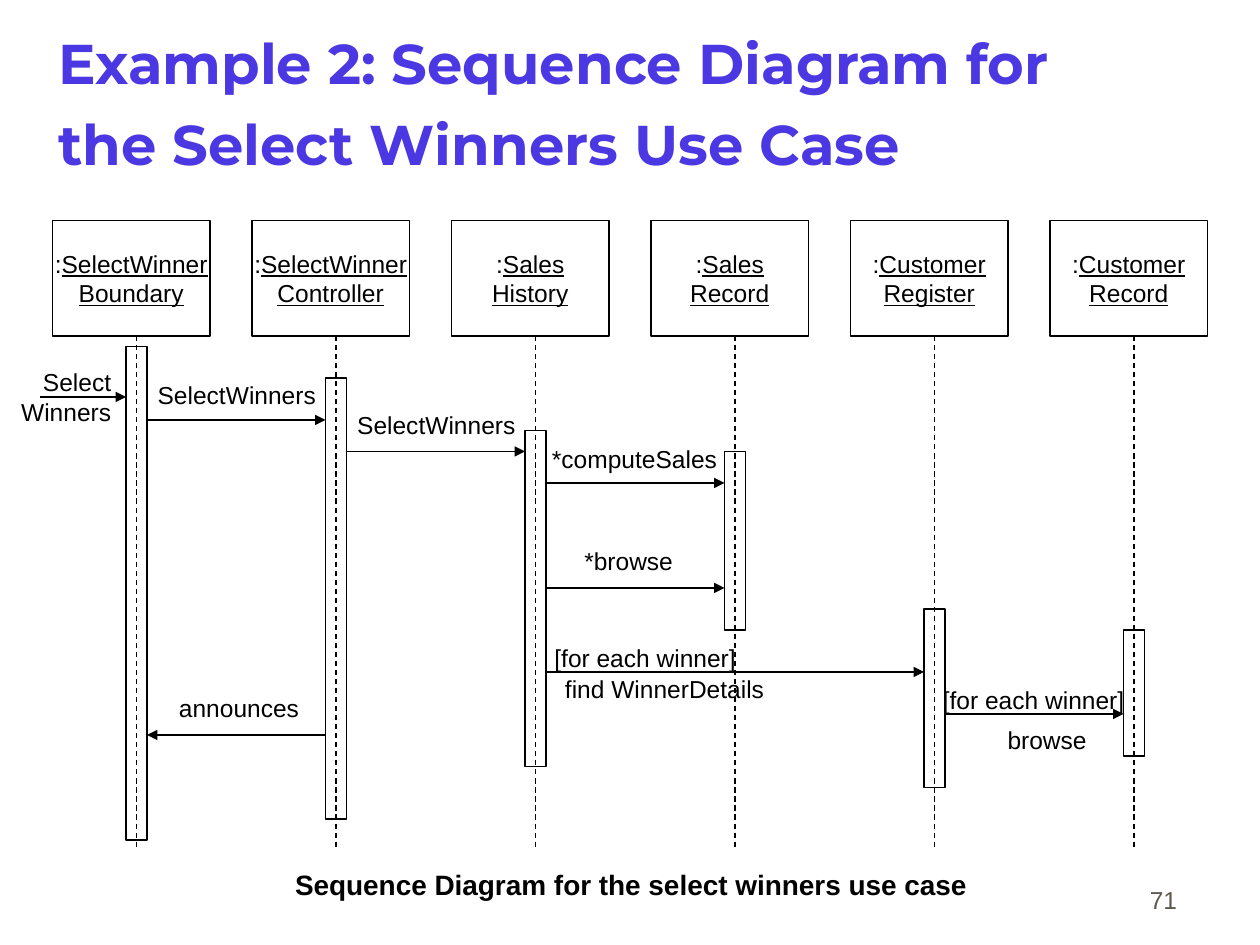
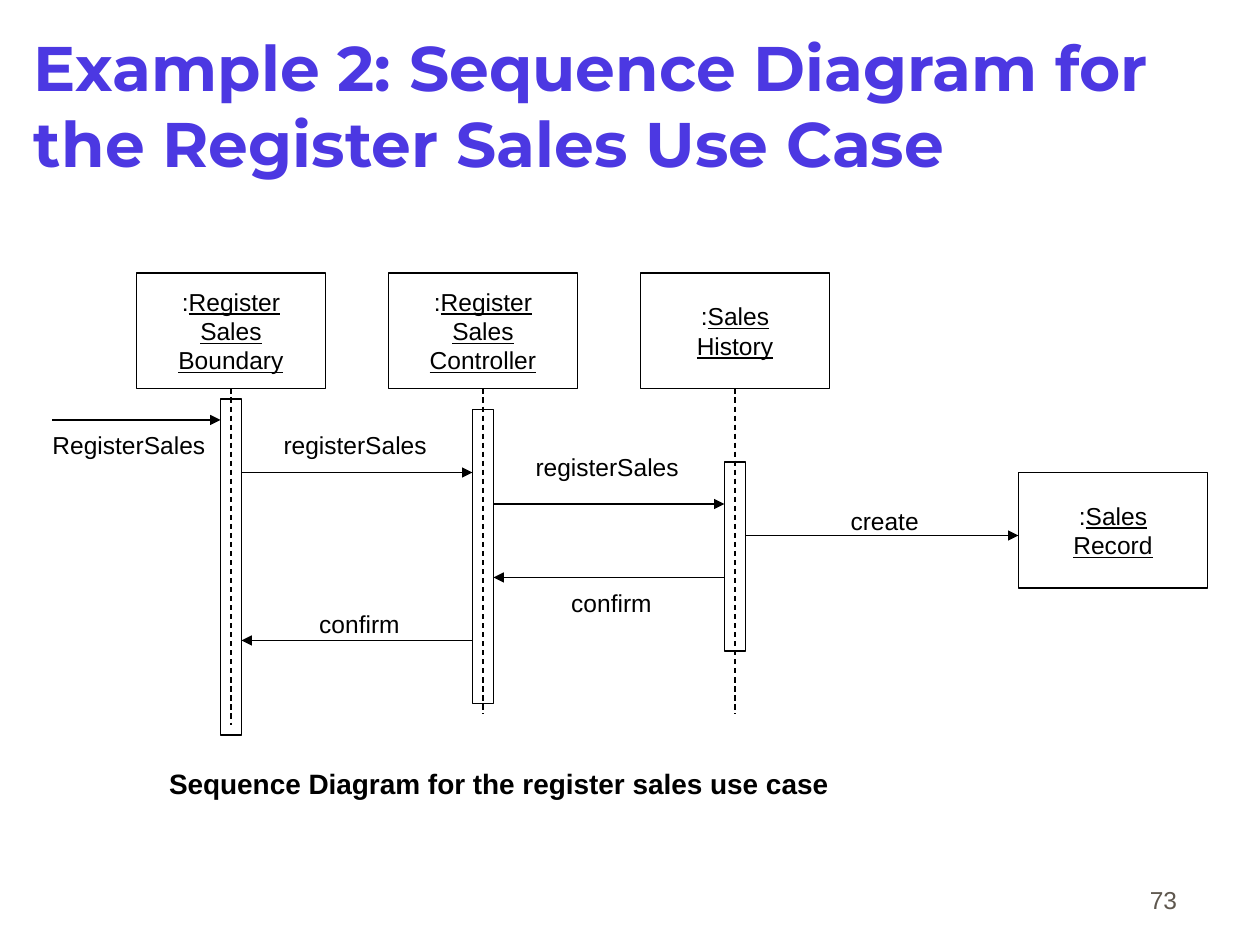
from dataclasses import dataclass
from math import ceil
from typing import Optional

from lxml.etree import SubElement
from pptx import Presentation
from pptx.dml.color import RGBColor
from pptx.enum.dml import MSO_LINE
from pptx.enum.shapes import MSO_CONNECTOR, MSO_SHAPE
from pptx.enum.text import MSO_ANCHOR, MSO_AUTO_SIZE, PP_ALIGN
from pptx.oxml.ns import qn
from pptx.util import Emu, Inches, Pt

SLIDE_WIDTH, SLIDE_HEIGHT = Inches(10), Inches(7.5)
GRID_COLUMNS = 120  # square cells, so the slide is 90 rows high
HEAD_ROWS = 11
BAR_COLUMNS = 2


@dataclass(frozen=True)
class Theme:
    title_font: str = "Montserrat"
    body_font: str = "Arial"
    title: RGBColor = RGBColor(0x4C, 0x38, 0xE2)
    ink: RGBColor = RGBColor(0, 0, 0)
    number: RGBColor = RGBColor(0x5E, 0x57, 0x4E)
    body_size: float = 14
    caption_size: float = 16
    line_width: float = 0.75


THEME = Theme()


@dataclass(frozen=True)
class Area:
    """A rectangle measured in grid cells."""
    column: float
    row: float
    columns: float
    rows: float


@dataclass(frozen=True)
class Title:
    text: str
    area: Area
    size: float
    line_spacing: float


@dataclass(frozen=True)
class Lifeline:
    name: str
    bar_row: Optional[int] = None
    bar_rows: int = 0
    end_row: int = 0
    head_row: Optional[int] = None


@dataclass(frozen=True)
class Message:
    """A call between lifelines; without a source it enters from outside."""
    source: Optional[int]
    target: int
    row: float


@dataclass(frozen=True)
class Label:
    text: str
    column: float
    row: float
    columns: float


@dataclass(frozen=True)
class Diagram:
    number: int
    title: Title
    caption: Label
    head_row: int
    head_columns: int
    axes: list[int]
    entry_column: float
    label_align: PP_ALIGN
    lifelines: list[Lifeline]
    messages: list[Message]
    labels: list[Label]

    def head_area(self, index: int) -> Area:
        row = self.lifelines[index].head_row or self.head_row
        column = self.axes[index] - ceil(self.head_columns / 2)
        return Area(column, row, self.head_columns, HEAD_ROWS)

    def edge(self, index: int, side: int) -> float:
        """Column where an arrow meets a bar, or the head if there is no bar."""
        if self.lifelines[index].bar_row is None:
            return self.head_area(index).column
        return self.axes[index] + side * BAR_COLUMNS / 2


def cells(count: float) -> Emu:
    return Emu(round(count * SLIDE_WIDTH / GRID_COLUMNS))


def bounds(area: Area) -> list[Emu]:
    return [cells(n) for n in (area.column, area.row, area.columns, area.rows)]


def style_span(span, size: float, color: RGBColor, font: str = THEME.body_font,
               bold: bool = False) -> None:
    span.font.name, span.font.size, span.font.bold = font, Pt(size), bold
    span.font.color.rgb = color


def add_text(page, area: Area, text: str, size: float, color: RGBColor = THEME.ink,
             font: str = THEME.body_font, bold: bool = False,
             align: PP_ALIGN = PP_ALIGN.LEFT, anchor: MSO_ANCHOR = MSO_ANCHOR.TOP,
             wrap: bool = False, inset_x: float = 0, inset_y: float = 0):
    """Text box that either wraps in its area or grows with its lines."""
    frame = page.shapes.add_textbox(*bounds(area)).text_frame
    frame.word_wrap, frame.vertical_anchor = wrap, anchor
    frame.auto_size = MSO_AUTO_SIZE.NONE if wrap else MSO_AUTO_SIZE.SHAPE_TO_FIT_TEXT
    frame.margin_left = frame.margin_right = Inches(inset_x)
    frame.margin_top = frame.margin_bottom = Inches(inset_y)
    frame.text = text
    for para in frame.paragraphs:
        para.alignment = align
        for span in para.runs:
            style_span(span, size, color, font, bold)
    return frame


def add_outline(page, area: Area):
    box = page.shapes.add_shape(MSO_SHAPE.RECTANGLE, *bounds(area))
    box.shadow.inherit = False
    box.fill.background()
    box.line.color.rgb, box.line.width = THEME.ink, Pt(THEME.line_width)
    return box


def add_head(page, area: Area, name: str) -> None:
    """Box with the underlined object name after a plain colon."""
    frame = add_outline(page, area).text_frame
    frame.word_wrap, frame.vertical_anchor = False, MSO_ANCHOR.MIDDLE
    frame.text = name
    first = frame.paragraphs[0]
    first.text = ":"
    first.add_run().text = name.splitlines()[0]
    for para in frame.paragraphs:
        para.alignment = PP_ALIGN.CENTER
        for span in para.runs:
            style_span(span, THEME.body_size, THEME.ink)
            span.font.underline = span.text != ":"


def add_line(page, start: tuple[float, float], end: tuple[float, float],
             dashed: bool = False, arrow: bool = False) -> None:
    line = page.shapes.add_connector(
        MSO_CONNECTOR.STRAIGHT, *(cells(n) for n in start + end))
    line.line.color.rgb, line.line.width = THEME.ink, Pt(THEME.line_width)
    if dashed:
        line.line.dash_style = MSO_LINE.DASH
    if arrow:
        SubElement(line.line._get_or_add_ln(), qn("a:tailEnd"), type="triangle")
    SubElement(line._element.spPr, qn("a:effectLst"))


def add_lifeline(page, diagram: Diagram, index: int) -> None:
    lifeline, axis = diagram.lifelines[index], diagram.axes[index]
    head = diagram.head_area(index)
    add_head(page, head, lifeline.name)
    if lifeline.bar_row is not None:
        add_outline(page, Area(axis - BAR_COLUMNS / 2, lifeline.bar_row,
                               BAR_COLUMNS, lifeline.bar_rows))
        add_line(page, (axis, head.row + head.rows), (axis, lifeline.end_row), dashed=True)


def add_message(page, diagram: Diagram, message: Message) -> None:
    source, target = message.source, message.target
    if source is None:
        start, side = diagram.entry_column, 1
    else:
        side = 1 if target > source else -1
        start = diagram.edge(source, side)
    add_line(page, (start, message.row), (diagram.edge(target, -side), message.row),
             arrow=True)


def add_diagram_page(deck, diagram: Diagram) -> None:
    page = deck.slides.add_slide(deck.slide_layouts[6])
    add_text(page, Area(88.3, 81.7, 25, 6), str(diagram.number), THEME.body_size,
             THEME.number, align=PP_ALIGN.RIGHT, anchor=MSO_ANCHOR.BOTTOM,
             wrap=True, inset_x=0.1, inset_y=0.05)
    title = diagram.title
    frame = add_text(page, title.area, title.text, title.size, THEME.title,
                     THEME.title_font, bold=True, anchor=MSO_ANCHOR.MIDDLE,
                     wrap=True, inset_x=0.02, inset_y=0.05)
    frame.paragraphs[0].line_spacing = title.line_spacing
    for index in range(len(diagram.lifelines)):
        add_lifeline(page, diagram, index)
    for message in diagram.messages:
        add_message(page, diagram, message)
    for label in diagram.labels:
        rows = 2.8 * len(label.text.splitlines())
        add_text(page, Area(label.column, label.row, label.columns, rows),
                 label.text, THEME.body_size, align=diagram.label_align)
    caption = diagram.caption
    add_text(page, Area(caption.column, caption.row, caption.columns, 3.2),
             caption.text, THEME.caption_size, bold=True)


SELECT_WINNERS = Diagram(
    number=71,
    title=Title("Example 2: Sequence Diagram for the Select Winners Use Case",
                Area(5.3, 1.6, 102, 15), 32, 1.2),
    caption=Label("Sequence Diagram for the select winners use case", 28.1, 82.6, 64.1),
    head_row=21,
    head_columns=15,
    axes=[13 + 19 * i for i in range(6)],
    entry_column=3.8,
    label_align=PP_ALIGN.RIGHT,
    lifelines=[
        Lifeline("SelectWinner\nBoundary", 33, 47, 81),
        Lifeline("SelectWinner\nController", 36, 42, 81),
        Lifeline("Sales\nHistory", 41, 32, 81),
        Lifeline("Sales\nRecord", 43, 17, 81),
        Lifeline("Customer\nRegister", 58, 17, 81),
        Lifeline("Customer\nRecord", 60, 12, 81),
    ],
    messages=[
        Message(None, 0, 37.8), Message(0, 1, 40), Message(1, 2, 43),
        Message(2, 3, 46), Message(2, 3, 56), Message(2, 4, 64),
        Message(4, 5, 68), Message(1, 0, 70),
    ],
    labels=[
        Label("Select\nWinners", 1.9, 35, 8.7),
        Label("SelectWinners", 14.9, 36.2, 15.2),
        Label("SelectWinners", 33.9, 39, 15.2),
        Label("*computeSales", 52.3, 42.3, 16),
        Label("*browse", 55.5, 52, 8.6),
        Label("[for each winner]", 52.5, 61.2, 17.6),
        Label("find WinnerDetails", 53.6, 64.2, 19.2),
        Label("[for each winner]", 89.5, 65.2, 17.6),
        Label("browse", 95.7, 69, 7.8),
        Label("announces", 16.9, 66, 11.6),
    ],
)

REGISTER_SALES = Diagram(
    number=73,
    title=Title("Example 2: Sequence Diagram for the Register Sales Use Case",
                Area(3, 2.2, 114, 15.5), 36, 1),
    caption=Label("Sequence Diagram for the register sales use case", 16.1, 73, 62.9),
    head_row=26,
    head_columns=18,
    axes=[22, 46, 70, 106],
    entry_column=5,
    label_align=PP_ALIGN.LEFT,
    lifelines=[
        Lifeline("Register\nSales\nBoundary", 38, 32, 69),
        Lifeline("Register\nSales\nController", 39, 28, 68),
        Lifeline("Sales\nHistory", 44, 18, 68),
        Lifeline("Sales\nRecord", head_row=45),
    ],
    messages=[
        Message(None, 0, 40), Message(0, 1, 45), Message(1, 2, 48),
        Message(2, 3, 51), Message(2, 1, 55), Message(1, 0, 61),
    ],
    labels=[
        Label("RegisterSales", 5, 41, 14.8),
        Label("registerSales", 27, 41, 13.8),
        Label("registerSales", 51, 43, 13.8),
        Label("create", 81, 48.2, 6.6),
        Label("confirm", 54.4, 56, 7.8),
        Label("confirm", 30.4, 58, 7.8),
    ],
)


def main() -> None:
    deck = Presentation()
    deck.slide_width, deck.slide_height = SLIDE_WIDTH, SLIDE_HEIGHT
    for diagram in (SELECT_WINNERS, REGISTER_SALES):
        add_diagram_page(deck, diagram)
    deck.save("out.pptx")


if __name__ == "__main__":
    main()
